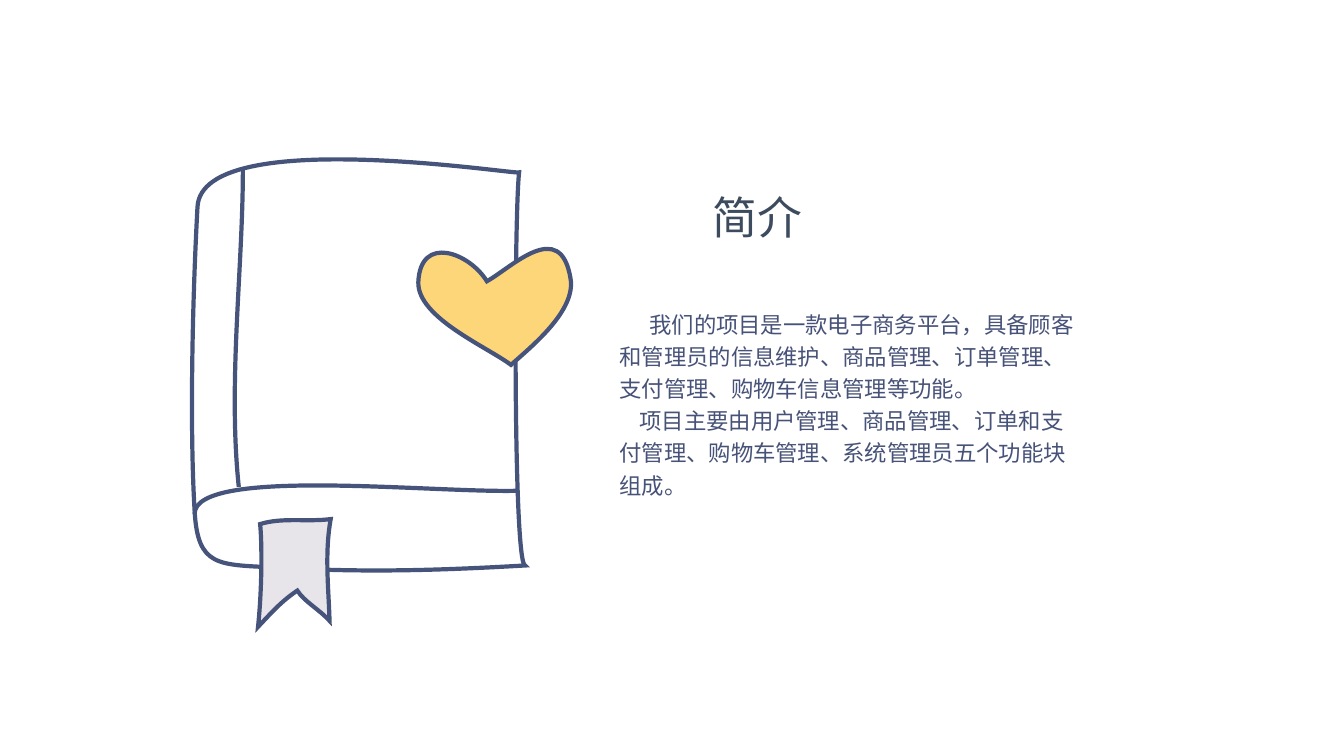
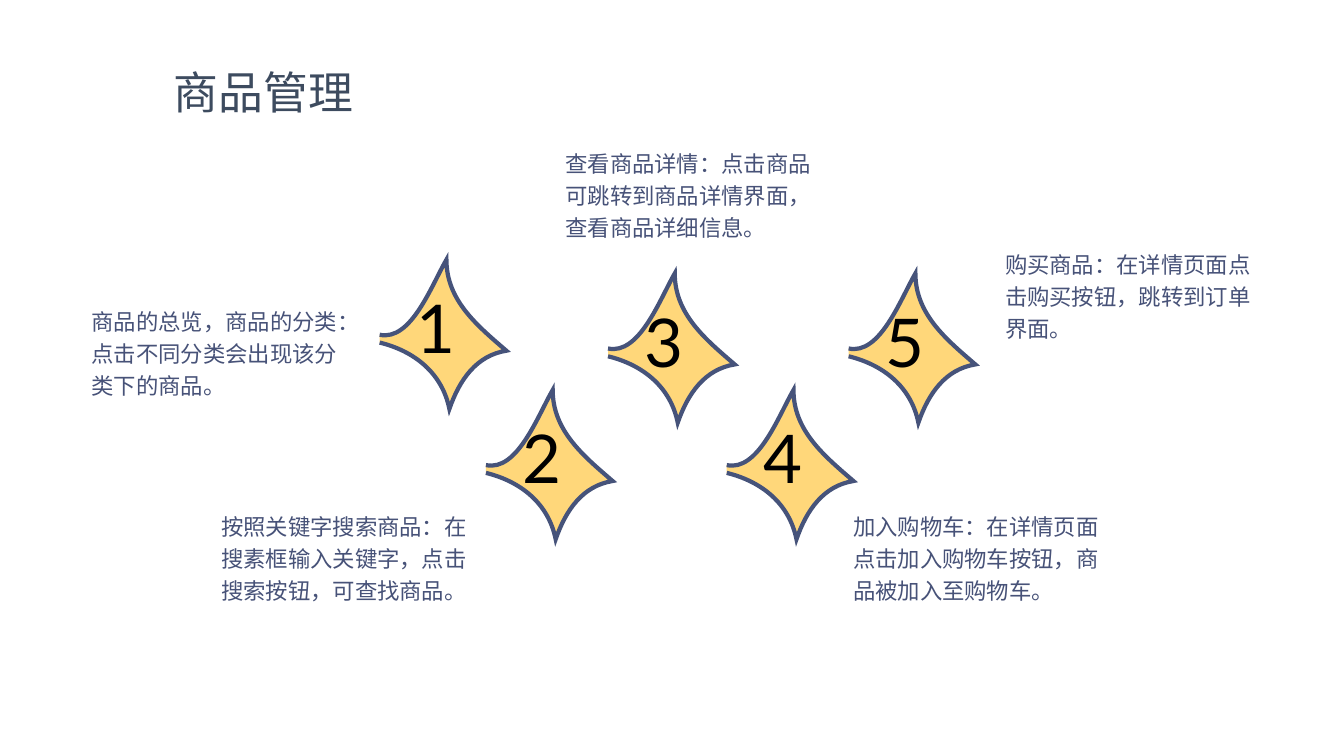
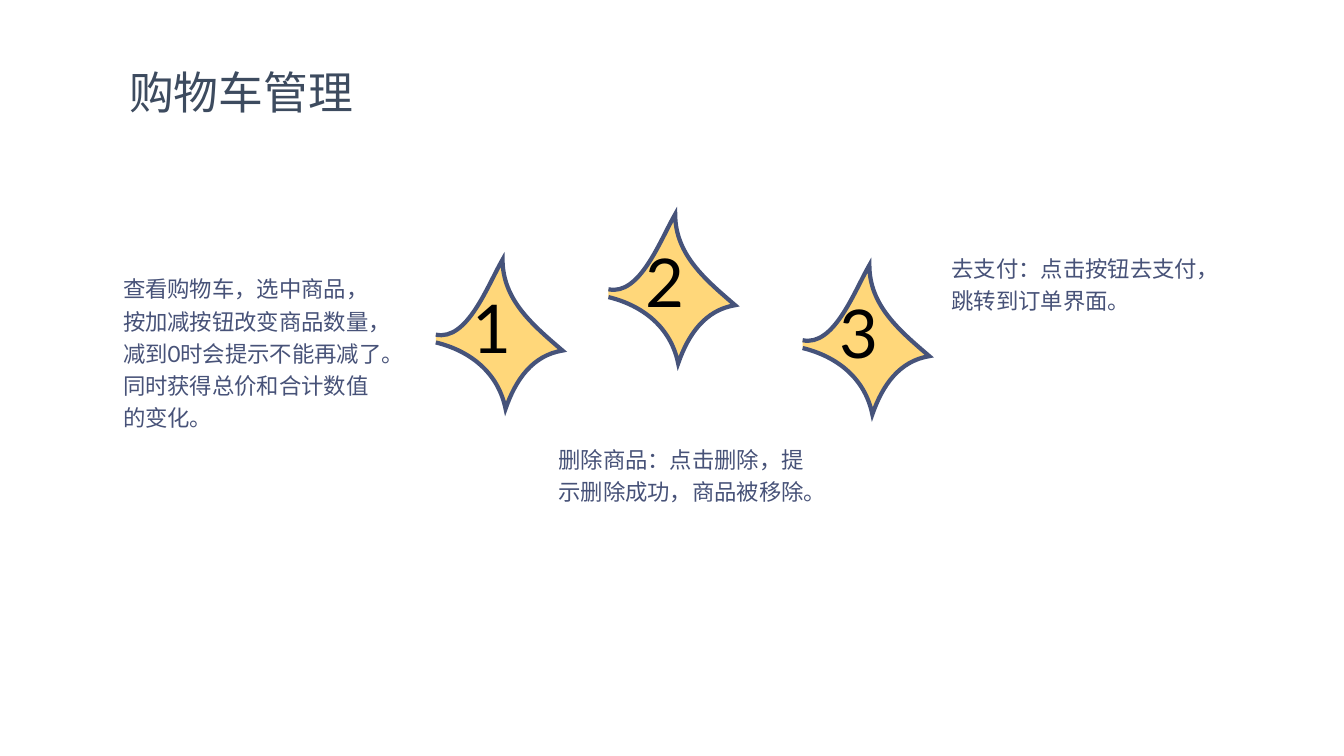
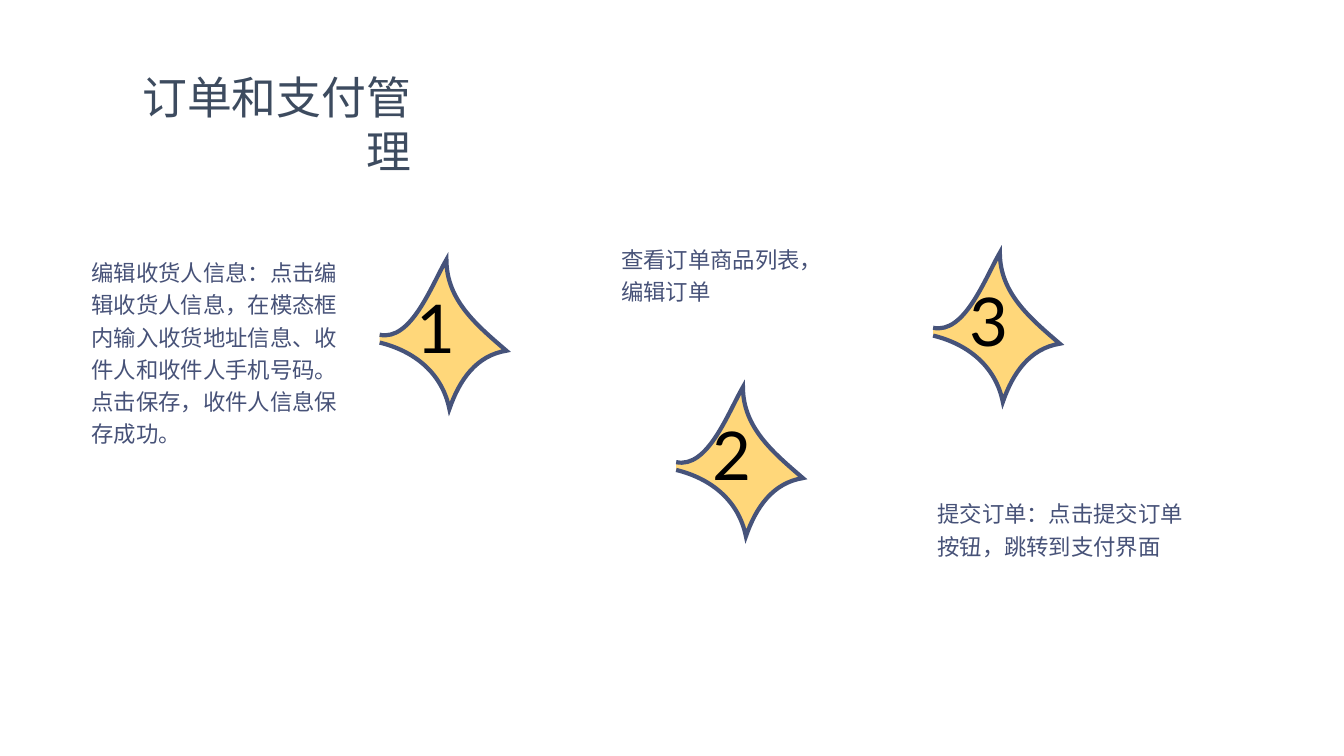
from lxml.etree import SubElement
from pptx import Presentation
from pptx.dml.color import RGBColor
from pptx.enum.lang import MSO_LANGUAGE_ID
from pptx.enum.text import MSO_ANCHOR, MSO_AUTO_SIZE, PP_ALIGN
from pptx.oxml.ns import qn
from pptx.util import Pt

COLORS = {
    "title": "3D4B5F",
    "body": "475278",
    "number": "000000",
    "outline": "46537A",
    "star": "FFD77A",
    "heart": "FDD67A",
    "ribbon": "E7E4EA",
}
FONT = "Lato"
CURVE_STEPS = 24

STAR = ((0, 53.6), [
    ((22.4, 58.4), (36.8, 18.8), (47.7, 0)),
    ((47.7, 29), (69.6, 47), (90.5, 65)),
    ((69.2, 68.4), (57, 85.7), (49.8, 106.6)),
    ((44.6, 80.8), (24.6, 65.2), (0, 59.2)),
])
COVER = ((375.1, 403.9), [
    ((366.5, 403.2), (367.2, 153.4), (370.8, 123.1)),
    ((370.8, 125.3), (144.7, 88.6), (141.1, 147.6)),
    ((137.5, 213.1), (135.4, 304.6), (139, 364.3)),
    ((141.1, 405.4), (155.5, 403.2), (198, 405.4)),
    ((259.2, 409), (312.5, 407.5), (375.1, 403.9)),
])
PAGE_EDGE = ((139, 367.2), [((139, 333.4), (307.4, 352.1), (369.4, 350.6))])
SPINE = ((173.5, 121), [((173.5, 192.2), (162.7, 272.9), (170.6, 347.8))])
RIBBON = ((236.2, 370.8), [
    ((231.8, 395.3), (234.7, 419.8), (235.4, 443.5)),
    ((227.5, 434.9), (217.4, 429.8), (212.4, 421.9)),
    ((201.6, 429.1), (195.1, 436.3), (184.3, 447.8)),
    ((187.2, 420.5), (187.2, 387.4), (185.8, 374.4)),
    ((201.6, 369.4), (219.6, 373), (236.2, 370.8)),
])
HEART = ((407.5, 198.7), [
    ((400.3, 155.5), (365.8, 190.8), (347.8, 200.9)),
    ((335.5, 180.7), (300.2, 167), (298.8, 201.6)),
    ((298.1, 226.8), (347.8, 247.7), (365, 260.6)),
    ((379.4, 247.7), (411.8, 221.8), (407.5, 198.7)),
])

FEATURE_PAGES = [
    {
        "title": ("商品管理", 116.6, 42.8, 143),
        "stars": [(271.2, 185.5), (347.1, 278.6), (434.3, 195.3),
                  (519.1, 278.6), (606.2, 195.3)],
        "notes": [
            (["查看商品详情：点击商品可跳转到商品详情界面，查看商品详细信息。"], 401, 100.3, 3),
            (["商品的总览，商品的分类：点击不同分类会出现该分类下的商品。"], 62.6, 212.8, 3),
            (["购买商品：在详情页面点击购买按钮，跳转到订单界面。"], 715, 172.4, 3),
            (["按照关键字搜索商品：在搜素框输入关键字，点击搜索按钮，可查找商品。"], 155.1, 359.3, 3),
            (["加入购物车：在详情页面点击加入购物车按钮，商品被加入至购物车。"], 606.5, 359.3, 3),
        ],
    },
    {
        "title": ("购物车管理", 84.6, 42.8, 175),
        "stars": [(311.3, 185.4), (434.6, 153), (573.3, 189.4)],
        "notes": [
            (["去支付：点击按钮去支付，跳转到订单界面。"], 676.8, 175, 2),
            (["查看购物车，选中商品，按加减按钮改变商品数量，减到0时会提示不能再减了。"
              "同时获得总价和合计数值的变化。"], 85, 189.6, 5),
            (["删除商品：点击删除，提示删除成功，商品被移除。"], 396, 311.8, 2),
        ],
    },
    {
        "title": ("订单和支付管理", 63, 46.1, 238),
        "stars": [(271.2, 185.5), (483, 276.5), (666.5, 180.5)],
        "notes": [
            (["查看订单商品列表，", "编辑订单"], 440.9, 168.8, 2),
            (["编辑收货人信息：点击编辑收货人信息，在模态框内输入收货地址信息、"
              "收件人和收件人手机号码。点击保存，收件人信息保存成功。"], 62.6, 178, 6),
            (["提交订单：点击提交订单按钮，跳转到支付界面"], 666.7, 350.6, 2),
        ],
    },
]


def write_text(para, text, size, color, align=PP_ALIGN.LEFT, spacing=1.0, indent=0):
    para.alignment = align
    para.line_spacing = spacing
    if indent:
        para._p.get_or_add_pPr().set("indent", str(Pt(indent)))
    span = para.add_run()
    span.text = text
    span.font.name = FONT
    span.font.size = Pt(size)
    span.font.color.rgb = RGBColor.from_string(COLORS[color])
    span.font.language_id = MSO_LANGUAGE_ID.SIMPLIFIED_CHINESE


def bounds(start, curves):
    points = [start]
    for first, second, end in curves:
        anchors = (points[-1], first, second, end)
        for step in range(1, CURVE_STEPS + 1):
            t = step / CURVE_STEPS
            weights = ((1 - t) ** 3, 3 * t * (1 - t) ** 2, 3 * t * t * (1 - t), t ** 3)
            points.append(tuple(sum(weight * anchor[axis]
                                    for weight, anchor in zip(weights, anchors))
                                for axis in (0, 1)))
    across, down = zip(*points)
    return min(across), min(down), max(across), max(down)


class Deck:
    def __init__(self):
        self.deck = Presentation()
        self.deck.slide_width, self.deck.slide_height = Pt(960), Pt(540)
        self.page = None

    def add_page(self, text, left, top, width):
        self.page = self.deck.slides.add_slide(self.deck.slide_layouts[5])
        title = self.page.shapes.title
        title.left, title.top, title.width, title.height = map(Pt, (left, top, width, 46))
        frame = title.text_frame
        frame.word_wrap = True
        frame.auto_size = MSO_AUTO_SIZE.NONE
        frame.vertical_anchor = MSO_ANCHOR.TOP
        write_text(frame.paragraphs[0], text, 32, "title", align=PP_ALIGN.RIGHT)

    def add_curve(self, outline, left=0, top=0, fill=None):
        start, curves = outline
        ends = [curve[-1] for curve in curves]
        builder = self.page.shapes.build_freeform(*map(Pt, start))
        builder.add_line_segments([(Pt(x), Pt(y)) for x, y in ends], close=ends[-1] == start)
        shape = builder.convert_to_shape()
        self.bend(shape, outline, left, top)
        shape.shadow.inherit = False
        if fill:
            shape.fill.solid()
            shape.fill.fore_color.rgb = RGBColor.from_string(COLORS[fill])
        else:
            shape.fill.background()
        shape.line.width = Pt(3)
        shape.line.color.rgb = RGBColor.from_string(COLORS["outline"])
        SubElement(shape.line._get_or_add_ln(), qn("a:miter"), lim="800000")
        return shape

    def bend(self, shape, outline, left, top):
        start, curves = outline
        west, north, east, south = bounds(start, curves)
        shape.left, shape.top = Pt(left + west), Pt(top + north)
        shape.width, shape.height = Pt(east - west), Pt(south - north)
        route = shape._element.find(".//" + qn("a:path"))
        route.set("w", str(shape.width))
        route.set("h", str(shape.height))
        for segment, points in zip(list(route), [(start,), *curves]):
            if len(points) == 3:
                segment.tag = qn("a:cubicBezTo")
            for point in list(segment):
                segment.remove(point)
            for x, y in points:
                SubElement(segment, qn("a:pt"), x=str(Pt(x - west)), y=str(Pt(y - north)))

    def add_book(self):
        parts = [self.add_curve(outline) for outline in (COVER, PAGE_EDGE, SPINE)]
        parts.append(self.add_curve(RIBBON, fill="ribbon"))
        self.page.shapes.add_group_shape(parts)
        self.add_curve(HEART, fill="heart")

    def add_star(self, number, left, top):
        star = self.add_curve(STAR, left, top, fill="star")
        box = self.page.shapes.add_textbox(Pt(left + 19.2), Pt(top + 15.4), Pt(52.6), Pt(65.6))
        box.text_frame.word_wrap = True
        write_text(box.text_frame.paragraphs[0], str(number), 48, "number")
        self.page.shapes.add_group_shape([star, box])

    def add_note(self, texts, left, top, lines, width=196.6, indents=(0, 0)):
        box = self.page.shapes.add_textbox(Pt(left), Pt(top), Pt(width), Pt(23.2 * lines + 5.8))
        frame = box.text_frame
        frame.word_wrap = True
        frame.vertical_anchor = MSO_ANCHOR.MIDDLE
        frame.margin_left = frame.margin_right = Pt(2.9)
        frame.margin_top = frame.margin_bottom = Pt(2.9)
        for index, (text, indent) in enumerate(zip(texts, indents)):
            para = frame.add_paragraph() if index else frame.paragraphs[0]
            write_text(para, text, 16, "body", spacing=1.2, indent=indent)


def main():
    show = Deck()
    show.add_page("简介", 501.1, 131.8, 79.2)
    show.add_book()
    show.add_note([
        "我们的项目是一款电子商务平台，具备顾客和管理员的信息维护、商品管理、订单管理、"
        "支付管理、购物车信息管理等功能。",
        "项目主要由用户管理、商品管理、订单和支付管理、购物车管理、系统管理员五个功能块组成。",
    ], 439.6, 214.6, 6, width=336.2, indents=(21.4, 14.3))

    for feature in FEATURE_PAGES:
        show.add_page(*feature["title"])
        for number, (left, top) in enumerate(feature["stars"], 1):
            show.add_star(number, left, top)
        for note in feature["notes"]:
            show.add_note(*note)
    show.deck.save("out.pptx")


if __name__ == "__main__":
    main()
